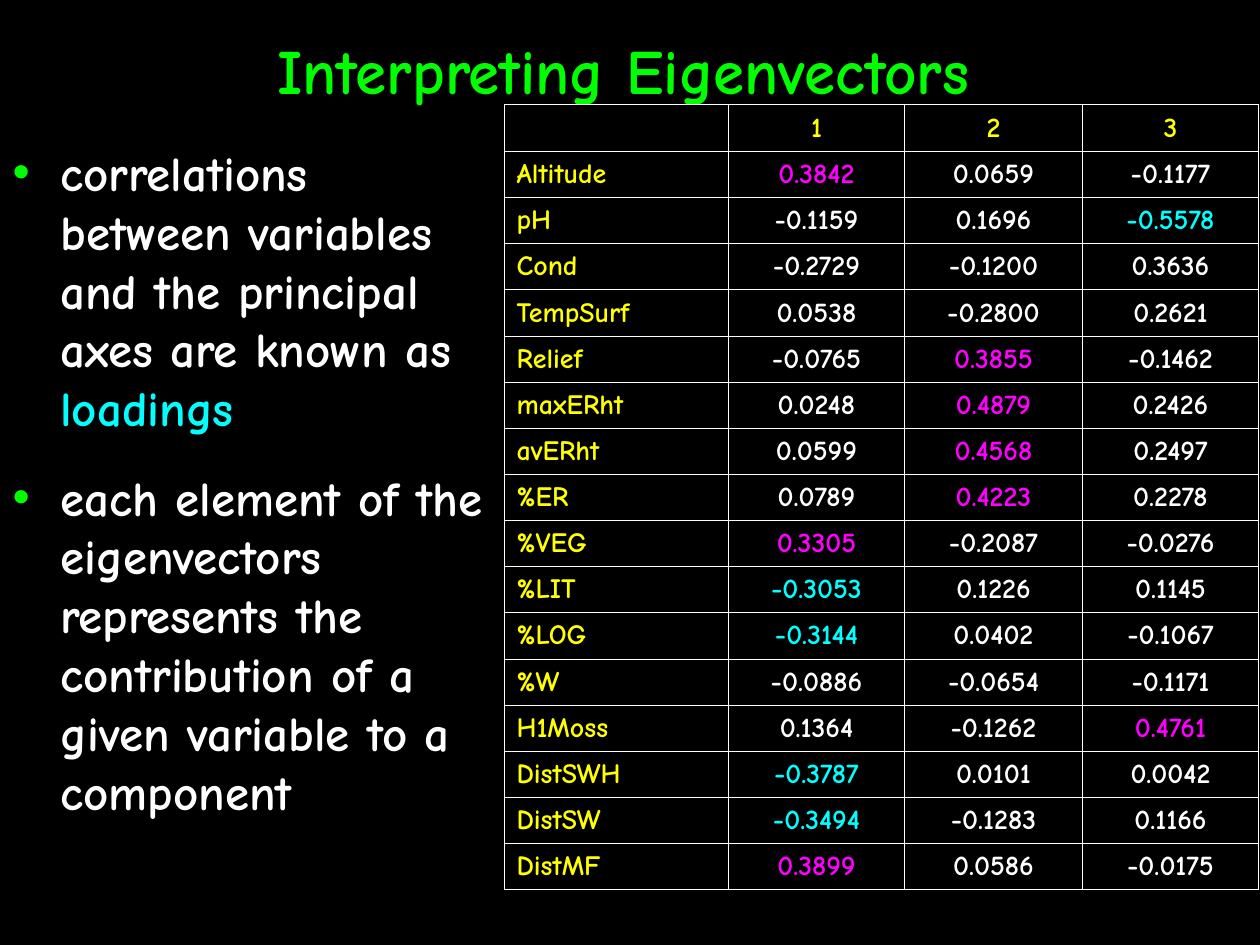
from lxml.etree import SubElement
from pptx import Presentation
from pptx.dml.color import RGBColor
from pptx.enum.text import MSO_ANCHOR, MSO_AUTO_SIZE, PP_ALIGN
from pptx.oxml.ns import qn
from pptx.util import Inches, Pt

COLORS = {
    "background": "000000",
    "title": "00FF00",
    "text": "FFFFFF",
    "label": "FFFF00",
    "positive": "FF00FF",
    "negative": "00FFFF",
}
FONT = "Comic Neue"

BULLETS = [
    [("correlations between variables and the principal axes are known as ", "text"),
     ("loadings", "negative")],
    [("each element of the eigenvectors represents the contribution "
      "of a given variable to a component", "text")],
]

HEADER = ["", "1", "2", "3"]
LOADINGS = [
    ("Altitude", 0.3842, 0.0659, -0.1177),
    ("pH", -0.1159, 0.1696, -0.5578),
    ("Cond", -0.2729, -0.1200, 0.3636),
    ("TempSurf", 0.0538, -0.2800, 0.2621),
    ("Relief", -0.0765, 0.3855, -0.1462),
    ("maxERht", 0.0248, 0.4879, 0.2426),
    ("avERht", 0.0599, 0.4568, 0.2497),
    ("%ER", 0.0789, 0.4223, 0.2278),
    ("%VEG", 0.3305, -0.2087, -0.0276),
    ("%LIT", -0.3053, 0.1226, 0.1145),
    ("%LOG", -0.3144, 0.0402, -0.1067),
    ("%W", -0.0886, -0.0654, -0.1171),
    ("H1Moss", 0.1364, -0.1262, 0.4761),
    ("DistSWH", -0.3787, 0.0101, 0.0042),
    ("DistSW", -0.3494, -0.1283, 0.1166),
    ("DistMF", 0.3899, 0.0586, -0.0175),
]
# Loadings at least this strong are highlighted, per component
THRESHOLDS = [0.3, 0.3, 0.4]


def loading_color(value, threshold):
    if abs(value) < threshold:
        return "text"
    return "positive" if value > 0 else "negative"


class SlideBuilder:
    def __init__(self, slide):
        self.slide = slide
        fill = slide.background.fill
        fill.solid()
        fill.fore_color.rgb = RGBColor.from_string(COLORS["background"])

    def style(self, span, size, color):
        span.font.name = FONT
        span.font.size = Pt(size)
        span.font.bold = True
        span.font.color.rgb = RGBColor.from_string(COLORS[color])

    def place(self, shape, left, top, width, height):
        shape.left, shape.top = Inches(left), Inches(top)
        shape.width, shape.height = Inches(width), Inches(height)
        shape.text_frame.auto_size = MSO_AUTO_SIZE.NONE

    def title(self, text, *area):
        box = self.slide.shapes.title
        self.place(box, *area)
        box.text_frame.text = text
        box.text_frame.vertical_anchor = MSO_ANCHOR.MIDDLE
        para = box.text_frame.paragraphs[0]
        para.alignment = PP_ALIGN.CENTER
        self.style(para.runs[0], 36, "title")

    def bullets(self, items, *area):
        box = self.slide.placeholders[1]
        self.place(box, *area)
        frame = box.text_frame
        for index, parts in enumerate(items):
            para = frame.add_paragraph() if index else frame.paragraphs[0]
            para.space_before = Pt(17.5)
            self.bullet(para)
            for text, color in parts:
                span = para.add_run()
                span.text = text
                self.style(span, 28, color)

    def bullet(self, para):
        properties = para._p.get_or_add_pPr()
        properties.set("marL", str(Inches(0.38)))
        properties.set("indent", str(-Inches(0.38)))
        color = SubElement(properties, qn("a:buClr"))
        SubElement(color, qn("a:srgbClr"), val=COLORS["title"])
        SubElement(properties, qn("a:buFont"), typeface="Arial")
        SubElement(properties, qn("a:buChar"), char="•")

    def table(self, rows, widths, left, top, height):
        frame = self.slide.shapes.add_table(
            len(rows), len(widths), Inches(left), Inches(top),
            Inches(sum(widths)), Inches(height))
        table = frame.table
        table.first_row = table.horz_banding = False
        for column, width in zip(table.columns, widths):
            column.width = Inches(width)
        for row, entries in zip(table.rows, rows):
            row.height = Inches(height / len(rows))
            for index, (text, color) in enumerate(entries):
                self.cell(row.cells[index], text, color, centred=index > 0)

    def cell(self, cell, text, color, centred):
        self.borders(cell)
        cell.fill.background()
        cell.vertical_anchor = MSO_ANCHOR.MIDDLE
        cell.text_frame.text = text
        para = cell.text_frame.paragraphs[0]
        para.alignment = PP_ALIGN.CENTER if centred else PP_ALIGN.LEFT
        for span in para.runs:
            self.style(span, 16, color)
        if not text:
            # Keeps the empty cell from stretching its row
            para._p.get_or_add_endParaRPr().set("sz", "1600")

    def borders(self, cell):
        properties = cell._tc.get_or_add_tcPr()
        for side in ("lnL", "lnR", "lnT", "lnB"):
            line = SubElement(properties, qn(f"a:{side}"), w=str(Pt(0.45)))
            fill = SubElement(line, qn("a:solidFill"))
            SubElement(fill, qn("a:srgbClr"), val=COLORS["text"])


def main():
    deck = Presentation()
    deck.slide_width, deck.slide_height = Inches(10), Inches(7.5)
    page = SlideBuilder(deck.slides.add_slide(deck.slide_layouts[1]))

    # Title and explanation
    page.title("Interpreting Eigenvectors", 0.04, -0.04, 9.81, 1.18)
    page.bullets(BULLETS, 0, 1.08, 3.94, 6.42)

    # Table of loadings
    rows = [[(text, "label") for text in HEADER]]
    for name, *values in LOADINGS:
        rows.append([(name, "label")] + [
            (f"{value:.4f}", loading_color(value, threshold))
            for value, threshold in zip(values, THRESHOLDS)])
    page.table(rows, [1.78, 1.4, 1.41, 1.4], 4, 0.83, 6.23)

    deck.save("out.pptx")


if __name__ == "__main__":
    main()
